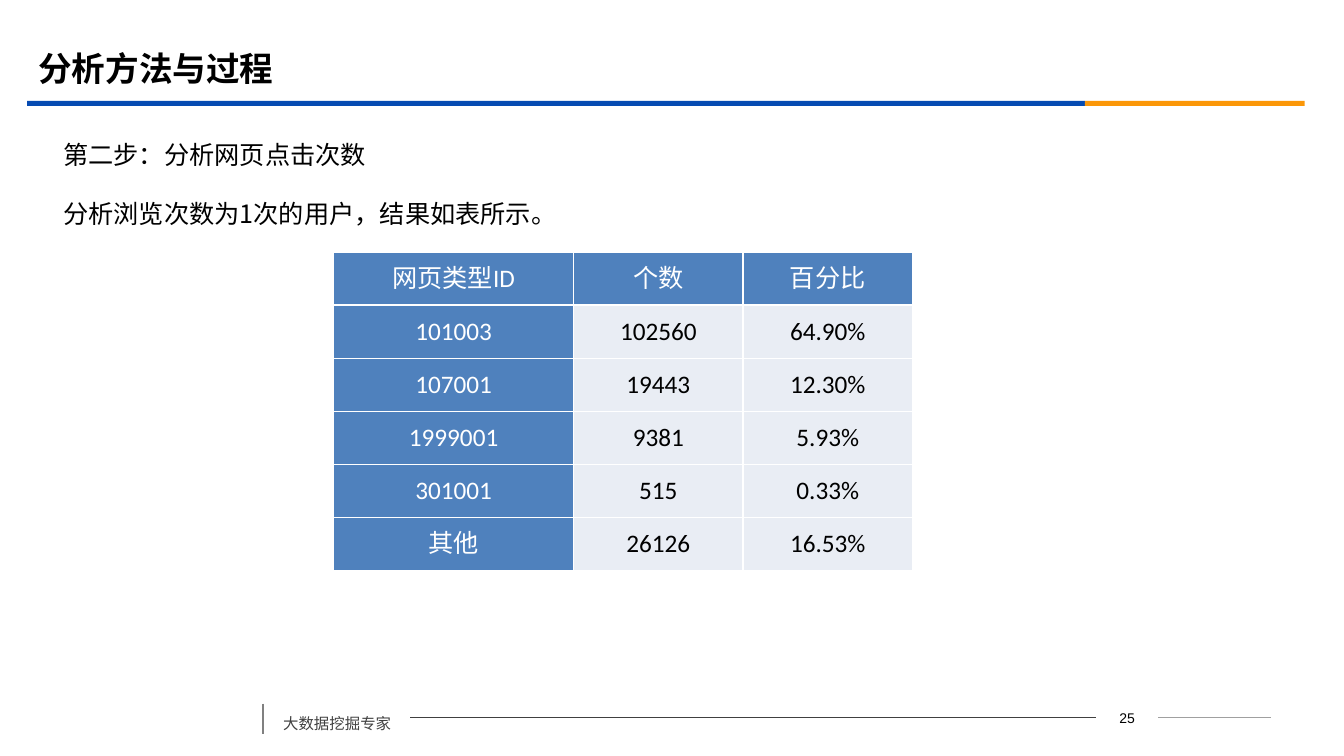
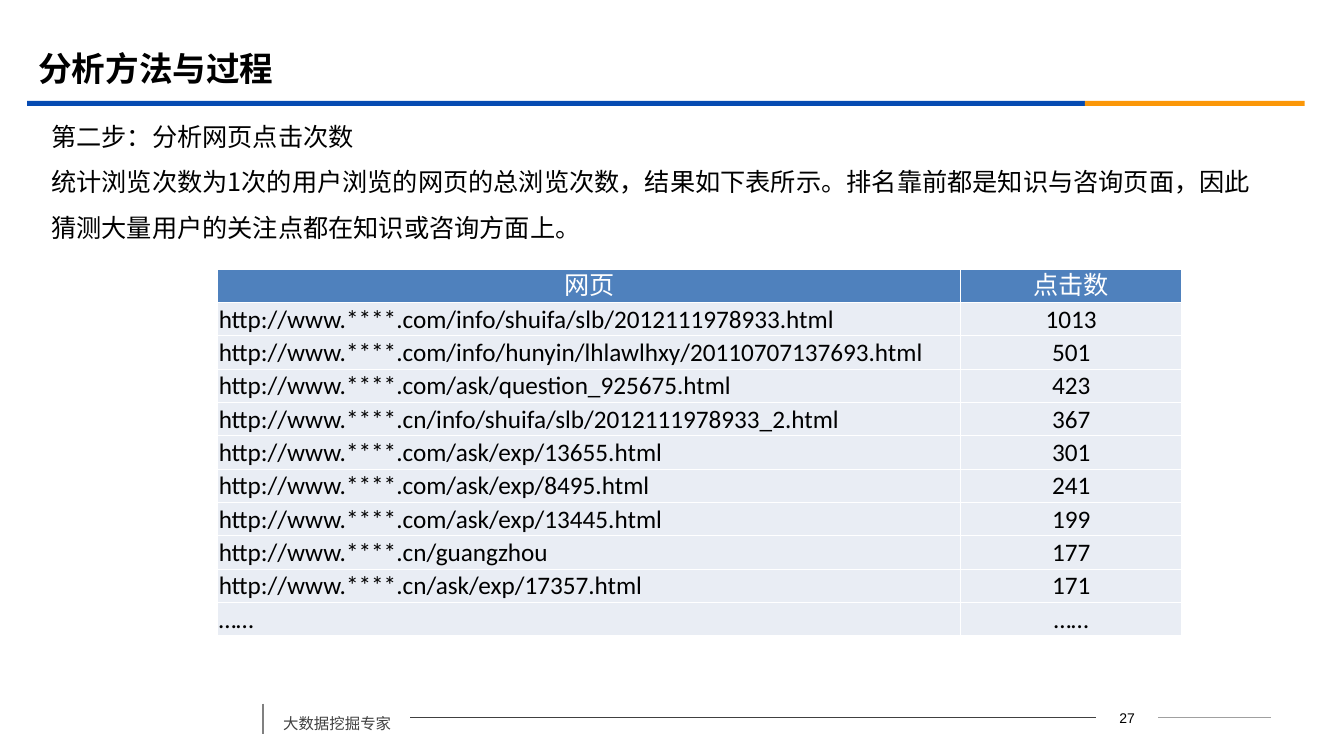
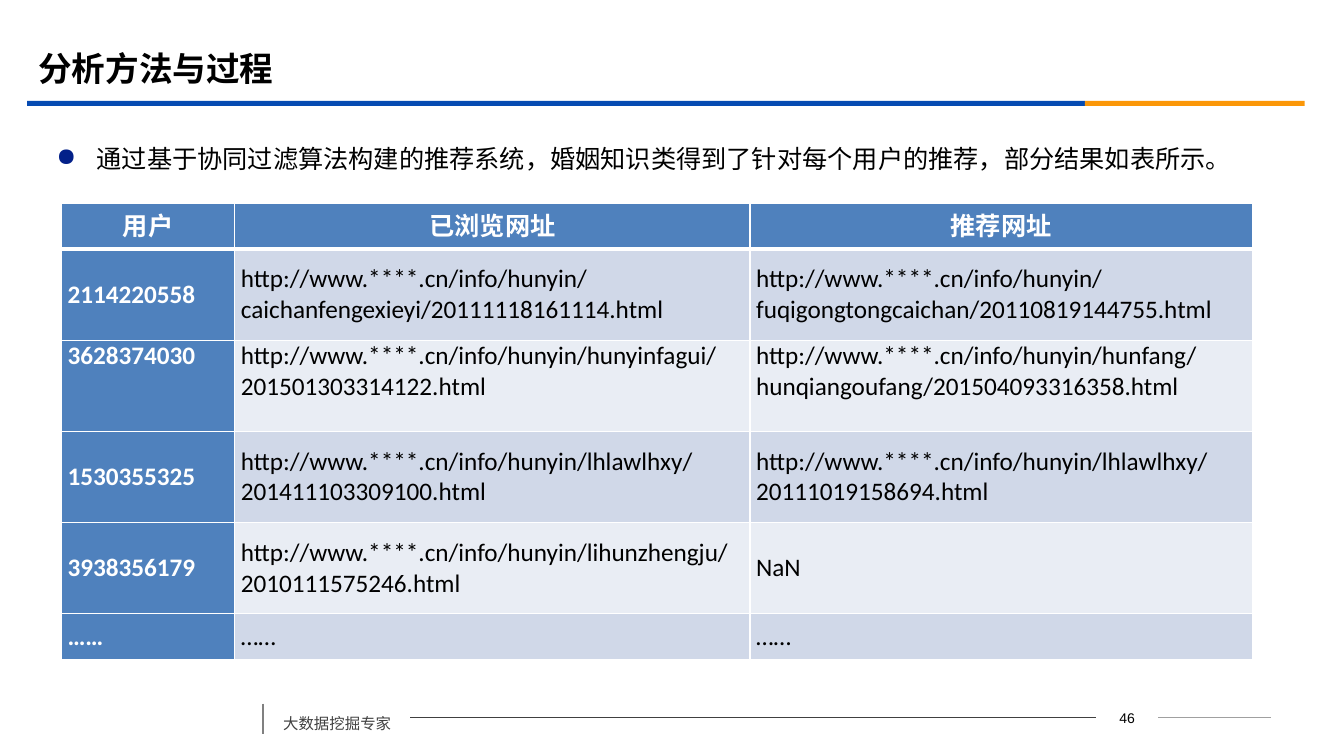
from dataclasses import dataclass

from lxml import etree
from pptx import Presentation
from pptx.dml.color import RGBColor
from pptx.enum import shapes as sh, text as tx
from pptx.oxml import ns
from pptx.util import Inches, Pt

BLUE = RGBColor(0x06, 0x4B, 0xB2)
GOLD = RGBColor(0xFB, 0x97, 0x08)
HEAD = RGBColor(0x4F, 0x81, 0xBD)
PALE = RGBColor(0xE9, 0xED, 0xF4)
MIST = RGBColor(0xD0, 0xD8, 0xE8)
DARK = RGBColor(0x40, 0x40, 0x40)
GREY = RGBColor(0x80, 0x80, 0x80)
SOFT = RGBColor(0xA0, 0xA0, 0xA0)
BLACK = RGBColor(0, 0, 0)
WHITE = RGBColor(0xFF, 0xFF, 0xFF)
HAN = "Noto Sans CJK SC"
LATIN = "Calibri"
TITLE = "分析方法与过程"
STEP = "第二步：分析网页点击次数"

CENTER = tx.PP_ALIGN.CENTER
JUST = tx.PP_ALIGN.JUSTIFY
TOP = tx.MSO_ANCHOR.TOP
MIDDLE = tx.MSO_ANCHOR.MIDDLE

Box = tuple[float, float, float, float]


@dataclass
class Style:
    size: float = 18
    color: RGBColor = BLACK
    face: str = HAN
    bold: bool = False
    align: tx.PP_ALIGN | None = None
    space: float | None = None
    before: float = 0


@dataclass
class Note:
    at: Box
    lines: list[str]
    before: float = 10
    anchor: tx.MSO_ANCHOR = TOP
    bullet: bool = False


@dataclass
class Grid:
    at: Box
    cols: list[float]
    spans: list[int]  # relative row heights
    cells: list[tuple[str, ...]]
    pads: Box = (0, 0, 0, 0)
    aligns: tuple = (CENTER, CENTER, CENTER)
    bands: tuple = (PALE,)
    side: bool = True  # first column coloured like the header
    bold: bool = False
    rule: float = 1  # line under the header, in points
    raised: tuple = ()  # rows with text at the top


@dataclass
class Page:
    number: int
    note: Note
    grid: Grid


@dataclass
class Rule:
    start: tuple[float, float]
    end: tuple[float, float]
    color: RGBColor
    width: float


RULES = [
    Rule((11.49, 7.12), (12.61, 7.12), SOFT, 0.75),
    Rule((4.07, 7.12), (10.87, 7.12), DARK, 0.75),
    Rule((2.61, 6.98), (2.61, 7.28), GREY, 1.25),
]
BANDS = [((0.27, 1, 10.49, 0.05), BLUE), ((10.76, 1, 2.18, 0.05), GOLD)]

PAGES = [
    Page(
        25,
        Note((0.53, 1.18, 12.25, 5.31),
             [STEP, "分析浏览次数为1次的用户，结果如表所示。"]),
        Grid(
            (3.31, 2.5, 5.73, 3.16), [2.38, 1.68, 1.68], [1] * 6,
            [
                ("网页类型ID", "个数", "百分比"),
                ("101003", "102560", "64.90%"),
                ("107001", "19443", "12.30%"),
                ("1999001", "9381", "5.93%"),
                ("301001", "515", "0.33%"),
                ("其他", "26126", "16.53%"),
            ],
        ),
    ),
    Page(
        27,
        Note((0.41, 1, 12.21, 1.46),
             [STEP, "统计浏览次数为1次的用户浏览的网页的总浏览次数，结果如下表所示。"
              "排名靠前都是知识与咨询页面，因此猜测大量用户的关注点都在知识或咨询方面上。"],
             before=0, anchor=MIDDLE),
        Grid(
            (2.16, 2.67, 9.56, 3.64), [7.37, 2.19], [1] * 11,
            [
                ("网页", "点击数"),
                ("http://www.****.com/info/shuifa/slb/2012111978933.html", "1013"),
                ("http://www.****.com/info/hunyin/lhlawlhxy/20110707137693.html", "501"),
                ("http://www.****.com/ask/question_925675.html", "423"),
                ("http://www.****.cn/info/shuifa/slb/2012111978933_2.html", "367"),
                ("http://www.****.com/ask/exp/13655.html", "301"),
                ("http://www.****.com/ask/exp/8495.html", "241"),
                ("http://www.****.com/ask/exp/13445.html", "199"),
                ("http://www.****.cn/guangzhou", "177"),
                ("http://www.****.cn/ask/exp/17357.html", "171"),
                ("……", "……"),
            ],
            pads=(0.01, 0.01, 0.01, 0), aligns=(JUST, CENTER), side=False,
        ),
    ),
    Page(
        46,
        Note((0.46, 1.22, 12.15, 5.47),
             ["通过基于协同过滤算法构建的推荐系统，婚姻知识类得到了针对每个用户的推荐，部分结果如表所示。"],
             bullet=True),
        Grid(
            (0.61, 2.02, 11.81, 4.52), [1.72, 5.11, 4.98], [1, 2, 2, 2, 2, 1],
            [
                ("用户", "已浏览网址", "推荐网址"),
                ("2114220558",
                 "http://www.****.cn/info/hunyin/caichanfengexieyi/20111118161114.html",
                 "http://www.****.cn/info/hunyin/fuqigongtongcaichan/20110819144755.html"),
                ("3628374030",
                 "http://www.****.cn/info/hunyin/hunyinfagui/201501303314122.html",
                 "http://www.****.cn/info/hunyin/hunfang/hunqiangoufang/201504093316358.html"),
                ("1530355325",
                 "http://www.****.cn/info/hunyin/lhlawlhxy/201411103309100.html",
                 "http://www.****.cn/info/hunyin/lhlawlhxy/20111019158694.html"),
                ("3938356179",
                 "http://www.****.cn/info/hunyin/lihunzhengju/2010111575246.html",
                 "NaN"),
                ("……", "……", "……"),
            ],
            pads=(0.06, 0, 0.06, 0), aligns=(JUST, JUST, JUST),
            bands=(MIST, PALE), bold=True, rule=3, raised=(2,),
        ),
    ),
]


def inch(box: tuple[float, ...]) -> list[Inches]:
    return [Inches(v) for v in box]


def format_text(frame, style: Style) -> None:
    for para in frame.paragraphs:
        para.alignment = style.align
        para.line_spacing = style.space
        para.space_before = Pt(style.before)
        for run in para.runs:
            font = run.font
            font.size = Pt(style.size)
            font.bold = style.bold
            font.name = style.face
            font.color.rgb = style.color
            east = etree.SubElement(run._r.get_or_add_rPr(), ns.qn("a:ea"))
            east.set("typeface", style.face)


def add_text(slide, at: Box, lines: list[str], style: Style, anchor=TOP):
    frame = slide.shapes.add_textbox(*inch(at)).text_frame
    frame.word_wrap = True
    frame.vertical_anchor = anchor
    frame.text = "\n".join(lines)
    format_text(frame, style)
    return frame


def add_bullet(para) -> None:
    props = para._p.get_or_add_pPr()
    props.set("marL", str(Inches(0.4)))
    props.set("indent", str(-Inches(0.4)))
    color = etree.SubElement(props, ns.qn("a:buClr"))
    etree.SubElement(color, ns.qn("a:srgbClr")).set("val", "032089")
    etree.SubElement(props, ns.qn("a:buChar")).set("char", "●")


def add_rule(slide, rule: Rule) -> None:
    line = slide.shapes.add_connector(
        sh.MSO_CONNECTOR.STRAIGHT, *inch(rule.start + rule.end))
    line.line.color.rgb = rule.color
    line.line.width = Pt(rule.width)
    etree.SubElement(line._element.spPr, ns.qn("a:effectLst"))


def add_band(slide, at: Box, color: RGBColor) -> None:
    band = slide.shapes.add_shape(sh.MSO_SHAPE.RECTANGLE, *inch(at))
    band.shadow.inherit = False
    band.fill.solid()
    band.fill.fore_color.rgb = color
    band.line.fill.background()


def add_frame(slide, number: int) -> None:
    """Draw the title, bands and footer that all slides share."""
    for at, color in BANDS:
        add_band(slide, at, color)
    for rule in RULES:
        add_rule(slide, rule)
    add_text(slide, (10.87, 6.99, 0.62, 0.25), [str(number)],
             Style(10, face="Arial", align=CENTER))
    add_text(slide, (2.71, 6.94, 1.36, 0.38), ["大数据挖掘专家"],
             Style(11, DARK, space=1.5, before=6))
    title = slide.shapes.title
    title.left, title.top, title.width, title.height = inch((0.28, 0.39, 12, 0.58))
    frame = title.text_frame
    frame.text = TITLE
    frame.auto_size = tx.MSO_AUTO_SIZE.NONE
    frame.vertical_anchor = MIDDLE
    format_text(frame, Style(24, bold=True, align=tx.PP_ALIGN.LEFT))


def set_edges(cell, top: float, bottom: float) -> None:
    """Give a cell white borders; call before the fill, as the schema orders them."""
    props = cell._tc.get_or_add_tcPr()
    for side, width in (("L", 1), ("R", 1), ("T", top), ("B", bottom)):
        edge = etree.SubElement(props, ns.qn(f"a:ln{side}"), w=str(Pt(width)))
        fill = etree.SubElement(edge, ns.qn("a:solidFill"))
        etree.SubElement(fill, ns.qn("a:srgbClr")).set("val", str(WHITE))


def add_grid(slide, grid: Grid) -> None:
    table = slide.shapes.add_table(
        len(grid.cells), len(grid.cols), *inch(grid.at)).table
    for col, width in zip(table.columns, grid.cols):
        col.width = Inches(width)
    unit = grid.at[3] / sum(grid.spans)
    for row, span in zip(table.rows, grid.spans):
        row.height = Inches(span * unit)
    for r, words in enumerate(grid.cells):
        for c, word in enumerate(words):
            cell = table.cell(r, c)
            key = r == 0 or (grid.side and c == 0)
            set_edges(cell, grid.rule if r == 1 else 1, grid.rule if r == 0 else 1)
            cell.fill.solid()
            cell.fill.fore_color.rgb = (
                HEAD if key else grid.bands[(r - 1) % len(grid.bands)])
            (cell.margin_left, cell.margin_top,
             cell.margin_right, cell.margin_bottom) = inch(grid.pads)
            cell.vertical_anchor = TOP if r in grid.raised else MIDDLE
            cell.text_frame.text = word
            format_text(cell.text_frame, Style(
                color=WHITE if key else BLACK, face=LATIN,
                bold=key and grid.bold,
                align=CENTER if r == 0 else grid.aligns[c]))


def add_page(deck, page: Page) -> None:
    slide = deck.slides.add_slide(deck.slide_layouts[5])
    add_frame(slide, page.number)
    note = page.note
    frame = add_text(slide, note.at, note.lines,
                     Style(space=1.5, before=note.before), note.anchor)
    if note.bullet:
        for para in frame.paragraphs:
            add_bullet(para)
    add_grid(slide, page.grid)


def main() -> None:
    deck = Presentation()
    deck.slide_width, deck.slide_height = Inches(13.33), Inches(7.5)
    for page in PAGES:
        add_page(deck, page)
    deck.save("out.pptx")


if __name__ == "__main__":
    main()
